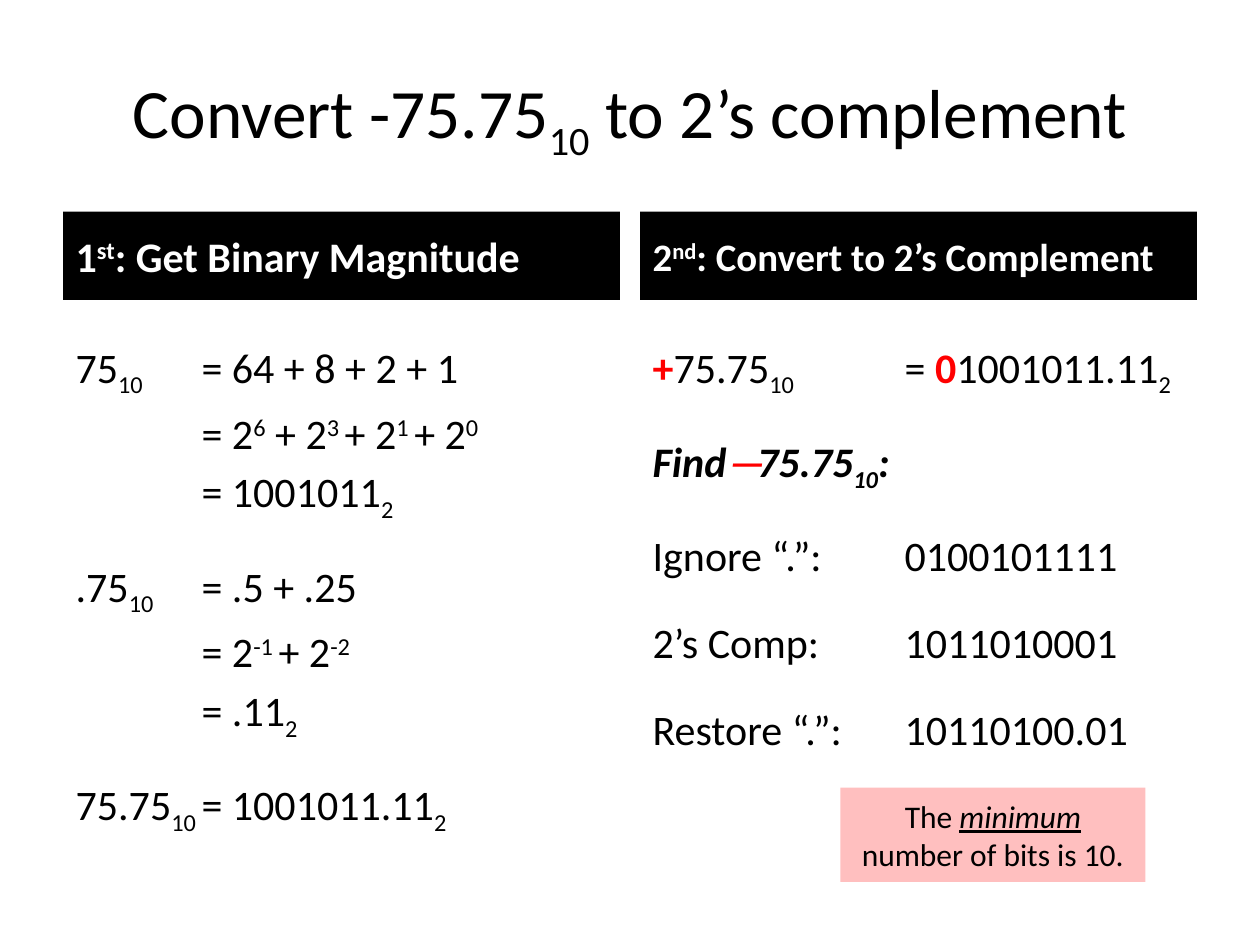
import lxml.etree
import pptx
import pptx.dml.color
import pptx.enum.shapes
import pptx.enum.text
import pptx.oxml.ns
import pptx.util

Inches = pptx.util.Inches
Pt = pptx.util.Pt
ALIGN = pptx.enum.text.PP_ALIGN
LEVEL = {"_": "-25000", "^": "30000"}
LEFT, RIGHT = 0.5, 5.08
ROW, GAP = 4.8, 21

SUM = [
    (0, [("75", ""), ("10", "_"), ("\t= 64 + 8 + 2 + 1", "")]),
    (ROW, [("\t= 2", ""), ("6", "^"), (" + 2", ""), ("3 ", "^"), ("+ 2", ""),
           ("1 ", "^"), ("+ 2", ""), ("0", "^")]),
    (ROW, [("\t= 1001011", ""), ("2", "_")]),
    (GAP, [(".75", ""), ("10", "_"), ("\t= .5 + .25", "")]),
    (ROW, [("\t= 2", ""), ("-1 ", "^"), ("+ 2", ""), ("-2", "^")]),
    (ROW, [("\t= .11", ""), ("2", "_")]),
    (GAP, [("75.75", ""), ("10", "_"), ("\t= 1001011.11", ""), ("2", "_")]),
]
STEPS = [
    (0, [("+", "br"), ("75.75", ""), ("10", "_"), ("\t= ", ""), ("0", "br"),
         ("1001011.11", ""), ("2", "_")]),
    (GAP, [("Find ", "bi"), ("─", "bir"), ("75.75", "bi"), ("10", "bi_"), (":", "bi")]),
    (GAP, [("Ignore “.”:\t0100101111", "")]),
    (GAP, [("2’s Comp:\t1011010001", "")]),
    (GAP, [("Restore “.”:\t10110100.01", "")]),
]


def color(code):
    return pptx.dml.color.RGBColor.from_string(code)


def child(node, tag, **attrs):
    return lxml.etree.SubElement(node, pptx.oxml.ns.qn(tag), attrs)


def place(shape, left, top, width, height):
    shape.left, shape.top = Inches(left), Inches(top)
    shape.width, shape.height = Inches(width), Inches(height)


def frame(shape, anchor):
    text = shape.text_frame
    text.word_wrap = True
    text.auto_size = pptx.enum.text.MSO_AUTO_SIZE.NONE
    text.vertical_anchor = anchor
    return text


def write(para, runs, size, code="000000", bold=None, align=ALIGN.LEFT):
    para.alignment = align
    font = para.font
    font.name, font.size, font.bold = "Calibri", Pt(size), bold
    font.color.rgb = color(code)
    for words, marks in runs:
        run = para.add_run()
        run.text = words
        if "b" in marks:
            run.font.bold = True
        if "i" in marks:
            run.font.italic = True
        if "u" in marks:
            run.font.underline = True
        if "r" in marks:
            run.font.color.rgb = color("FF0000")
        for mark in LEVEL:
            if mark in marks:
                run.font._element.set("baseline", LEVEL[mark])


def title(shape, runs):
    place(shape, LEFT, 0.3, 9, 1.25)
    text = frame(shape, pptx.enum.text.MSO_ANCHOR.MIDDLE)
    write(text.paragraphs[0], runs, 39.6, align=ALIGN.CENTER)


def header(shape, left, runs, size):
    place(shape, left, 1.68, 4.42, 0.7)
    shape.fill.solid()
    shape.fill.fore_color.rgb = color("000000")
    text = frame(shape, pptx.enum.text.MSO_ANCHOR.MIDDLE)
    write(text.paragraphs[0], runs, size, "FFFFFF", True)


def column(shape, left, lines, stop):
    place(shape, left, 2.38, 4.42, 4.32)
    text = frame(shape, pptx.enum.text.MSO_ANCHOR.TOP)
    text.margin_top = Inches(0.33)
    for row, (space, runs) in enumerate(lines):
        para = text.add_paragraph() if row else text.paragraphs[0]
        props = para._p.get_or_add_pPr()
        for name, value in (("marL", 0), ("indent", 0), ("defTabSz", Inches(1))):
            props.set(name, str(value))
        child(props, "a:buNone")
        tabs = child(props, "a:tabLst")
        child(tabs, "a:tab", pos=str(Inches(stop)), algn="l")
        para.space_before = Pt(space)
        write(para, runs, 24)


def note(slide, runs):
    shape = slide.shapes.add_shape(
        pptx.enum.shapes.MSO_SHAPE.RECTANGLE,
        Inches(6.67), Inches(6.25), Inches(2.42), Inches(0.75))
    shape.shadow.inherit = False
    shape.line.fill.background()
    shape.fill.solid()
    shape.fill.fore_color.rgb = color("FF0000")
    tint = shape._element.spPr.find(".//" + pptx.oxml.ns.qn("a:srgbClr"))
    child(tint, "a:alpha", val="25000")
    text = frame(shape, pptx.enum.text.MSO_ANCHOR.MIDDLE)
    write(text.paragraphs[0], runs, 18, align=ALIGN.CENTER)


def main():
    deck = pptx.Presentation()
    deck.slide_width, deck.slide_height = Inches(10), Inches(7.5)
    slide = deck.slides.add_slide(deck.slide_layouts.get_by_name("Comparison"))
    head, first, sums, second, steps = slide.placeholders
    title(head, [("Convert -75.75", ""), ("10", "_"), (" to 2’s complement", "")])
    header(first, LEFT, [("1", ""), ("st", "^"), (": Get Binary Magnitude", "")], 24)
    column(sums, LEFT, SUM, 1)
    header(second, RIGHT,
           [("2", ""), ("nd", "^"), (": Convert to 2’s Complement", "")], 22.2)
    column(steps, RIGHT, STEPS, 2)
    note(slide, [("The ", ""), ("minimum", "iu"), (" number of bits is 10.", "")])
    deck.save("out.pptx")


if __name__ == "__main__":
    main()
